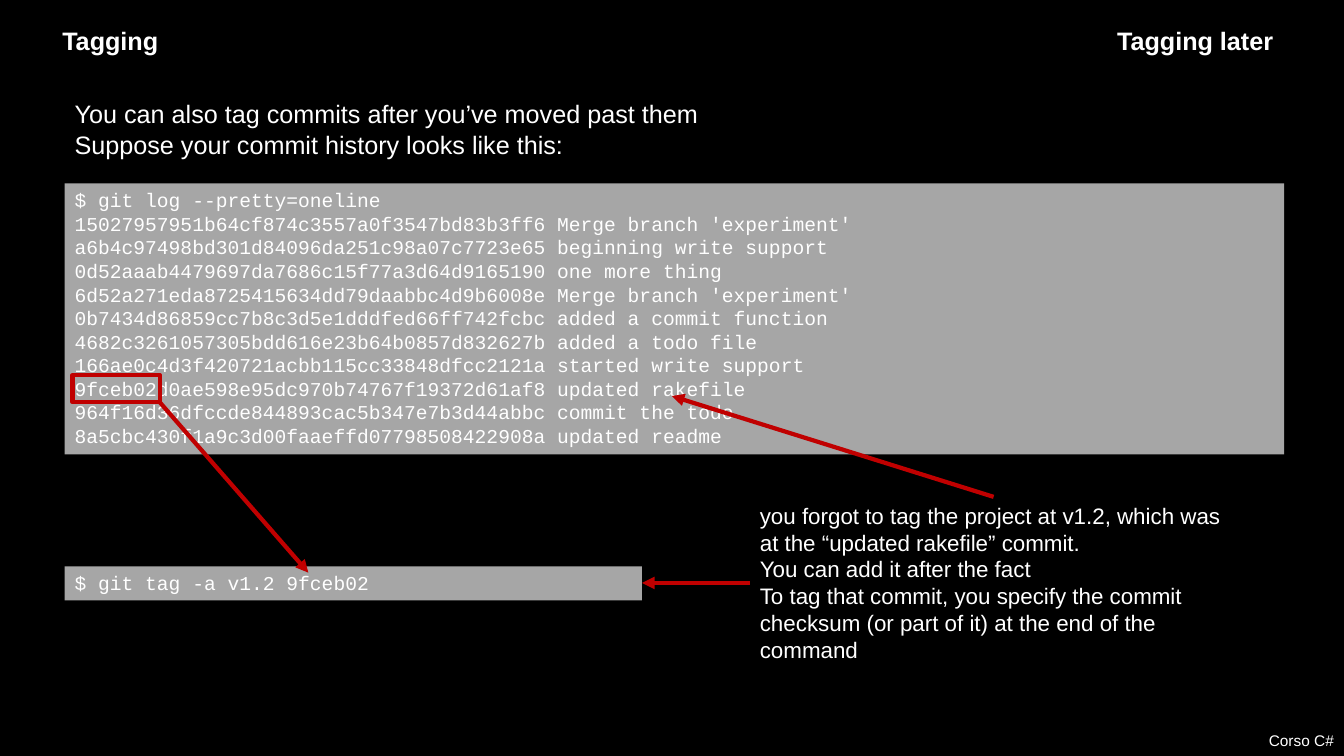
from dataclasses import dataclass
from typing import NamedTuple

from lxml import etree
from pptx import Presentation
from pptx.dml.color import RGBColor
from pptx.enum.shapes import MSO_CONNECTOR, MSO_SHAPE
from pptx.enum.text import MSO_ANCHOR, PP_ALIGN
from pptx.oxml.ns import qn
from pptx.util import Cm, Pt

RECT = MSO_SHAPE.RECTANGLE
STRAIGHT = MSO_CONNECTOR.STRAIGHT
TOP = MSO_ANCHOR.TOP
LEFT, RIGHT = PP_ALIGN.LEFT, PP_ALIGN.RIGHT


@dataclass(frozen=True)
class Theme:
    background: RGBColor = RGBColor(0x00, 0x00, 0x00)
    text: RGBColor = RGBColor(0xFF, 0xFF, 0xFF)
    code_fill: RGBColor = RGBColor(0xA6, 0xA6, 0xA6)
    accent: RGBColor = RGBColor(0xC0, 0x00, 0x00)
    body_font: str = "Arial"
    code_font: str = "Courier New"
    title_size: int = 18
    note_size: int = 16
    code_size: int = 14
    footer_size: int = 11
    line_width: int = 3


THEME = Theme()


class Box(NamedTuple):
    """Position and size in centimetres."""
    left: float
    top: float
    width: float
    height: float


@dataclass(frozen=True)
class Label:
    box: Box
    text: str
    size: int
    bold: bool = False
    align: PP_ALIGN = LEFT
    wrap: bool = True


@dataclass(frozen=True)
class CodeBlock:
    box: Box
    text: str


class Arrow(NamedTuple):
    """Start and tip in centimetres."""
    x1: float
    y1: float
    x2: float
    y2: float


LABELS = [
    Label(Box(0, 18.31, 33.87, 0.74), "Corso C#", THEME.footer_size, align=RIGHT),
    Label(Box(1.32, 0.51, 2.95, 1.02), "Tagging", THEME.title_size, bold=True, wrap=False),
    Label(Box(16.59, 0.51, 15.75, 1.02), "Tagging later", THEME.title_size, bold=True, align=RIGHT),
    Label(Box(1.63, 2.36, 29.1, 1.8),
          "You can also tag commits after you’ve moved past them\n"
          "Suppose your commit history looks like this:", THEME.title_size),
    Label(Box(18.9, 12.52, 12.29, 4.37),
          "you forgot to tag the project at v1.2, which was at the “updated rakefile” commit.\n"
          "You can add it after the fact\n"
          "To tag that commit, you specify the commit checksum (or part of it) "
          "at the end of the command", THEME.note_size),
]

COMMIT_LOG = """$ git log --pretty=oneline
15027957951b64cf874c3557a0f3547bd83b3ff6 Merge branch 'experiment'
a6b4c97498bd301d84096da251c98a07c7723e65 beginning write support
0d52aaab4479697da7686c15f77a3d64d9165190 one more thing
6d52a271eda8725415634dd79daabbc4d9b6008e Merge branch 'experiment'
0b7434d86859cc7b8c3d5e1dddfed66ff742fcbc added a commit function
4682c3261057305bdd616e23b64b0857d832627b added a todo file
166ae0c4d3f420721acbb115cc33848dfcc2121a started write support
9fceb02d0ae598e95dc970b74767f19372d61af8 updated rakefile
964f16d36dfccde844893cac5b347e7b3d44abbc commit the todo
8a5cbc430f1a9c3d00faaeffd07798508422908a updated readme"""

CODE_BLOCKS = [
    CodeBlock(Box(1.63, 4.62, 30.73, 6.83), COMMIT_LOG),
    CodeBlock(Box(1.63, 14.27, 14.55, 0.86), "$ git tag -a v1.2 9fceb02"),
]

CHECKSUM_FRAME = Box(1.83, 9.45, 2.2, 0.69)

ARROWS = [
    Arrow(25.04, 12.52, 16.93, 9.98),  # note to the forgotten commit
    Arrow(18.9, 14.69, 16.18, 14.69),  # note to the command
    Arrow(4.03, 10.14, 7.77, 14.43),   # checksum to the command
]


def write_text(tf, text: str, *, size: int, font: str = THEME.body_font,
               bold: bool = False, align: PP_ALIGN = LEFT, wrap: bool = True) -> None:
    tf.word_wrap = wrap
    tf.vertical_anchor = TOP
    for i, line in enumerate(text.split("\n")):
        p = tf.paragraphs[0] if i == 0 else tf.add_paragraph()
        p.alignment = align
        r = p.add_run()
        r.text = line
        r.font.name = font
        r.font.size = Pt(size)
        r.font.bold = bold
        r.font.color.rgb = THEME.text


def add_label(s, label: Label) -> None:
    sp = s.shapes.add_textbox(*map(Cm, label.box))
    write_text(sp.text_frame, label.text, size=label.size, bold=label.bold,
               align=label.align, wrap=label.wrap)


def add_rect(s, box: Box):
    sp = s.shapes.add_shape(RECT, *map(Cm, box))
    sp.shadow.inherit = False
    return sp


def add_code(s, block: CodeBlock) -> None:
    sp = add_rect(s, block.box)
    sp.fill.solid()
    sp.fill.fore_color.rgb = THEME.code_fill
    sp.line.fill.background()
    write_text(sp.text_frame, block.text, size=THEME.code_size, font=THEME.code_font)


def style_line(line) -> None:
    line.color.rgb = THEME.accent
    line.width = Pt(THEME.line_width)


def add_frame(s, box: Box) -> None:
    sp = add_rect(s, box)
    sp.fill.background()
    style_line(sp.line)


def add_arrow(s, arrow: Arrow) -> None:
    sp = s.shapes.add_connector(STRAIGHT, *map(Cm, arrow))
    style_line(sp.line)
    etree.SubElement(sp.line._get_or_add_ln(), qn("a:tailEnd"), type="triangle")
    etree.SubElement(sp._element.spPr, qn("a:effectLst"))


def main() -> None:
    prs = Presentation()
    prs.slide_width, prs.slide_height = Cm(33.87), Cm(19.05)
    s = prs.slides.add_slide(prs.slide_layouts[6])
    s.background.fill.solid()
    s.background.fill.fore_color.rgb = THEME.background

    # Title, introduction, note and footer
    for label in LABELS:
        add_label(s, label)

    # Commit log and tag command
    for block in CODE_BLOCKS:
        add_code(s, block)

    # Checksum highlight and pointers
    add_frame(s, CHECKSUM_FRAME)
    for arrow in ARROWS:
        add_arrow(s, arrow)

    prs.save("out.pptx")


if __name__ == "__main__":
    main()
